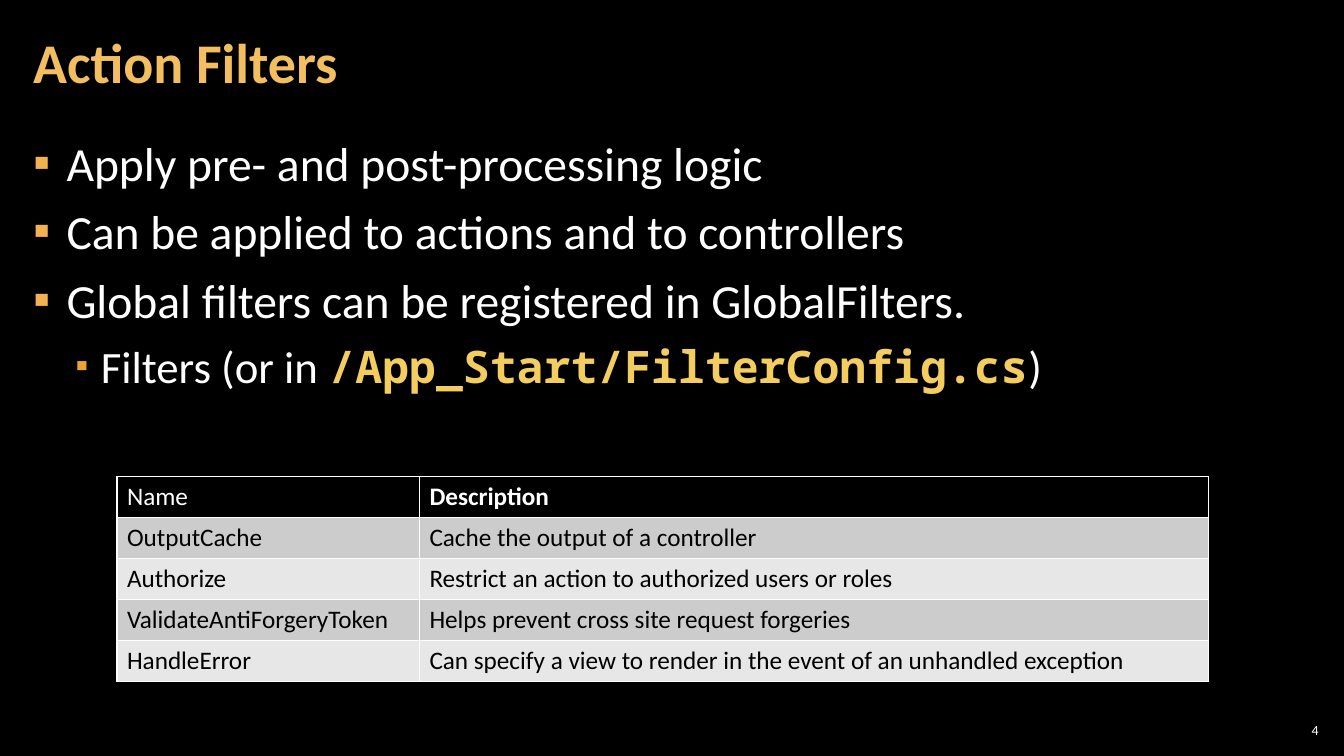
"""Builds the Action Filters slide: title, bullet list, filter table and slide number."""
from lxml import etree
from pptx import Presentation
from pptx.dml.color import RGBColor
from pptx.enum.text import MSO_ANCHOR, PP_ALIGN
from pptx.oxml.ns import qn
from pptx.util import Inches, Pt

WHITE, BLACK = "FFFFFF", "000000"


def rgb(color):
    """Turn a hex string into a colour."""
    return RGBColor.from_string(color)


def add_run(p, text, size, color, bold=False, font="Calibri"):
    """Append one styled run to a paragraph."""
    r = p.add_run()
    r.text = text
    r.font.name = font
    r.font.size = Pt(size)
    r.font.bold = bold
    r.font.color.rgb = rgb(color)


prs = Presentation()
prs.slide_width, prs.slide_height = Inches(13.33), Inches(7.5)
s = prs.slides.add_slide(prs.slide_layouts[6])
s.background.fill.solid()
s.background.fill.fore_color.rgb = rgb(BLACK)

frames = []
for left, top, width, height, inset, anchor in [
    (12.65, 7.14, 0.47, 0.21, 0.04, MSO_ANCHOR.MIDDLE),
    (0.21, 1.26, 12.91, 6.09, 0.12, MSO_ANCHOR.TOP),
    (0.21, 0.04, 10.47, 1.21, 0.12, MSO_ANCHOR.MIDDLE),
]:
    tf = s.shapes.add_textbox(Inches(left), Inches(top), Inches(width), Inches(height)).text_frame
    tf.word_wrap = True
    tf.vertical_anchor = anchor
    tf.margin_left = tf.margin_right = Inches(inset)
    tf.margin_top = tf.margin_bottom = Inches(0.04)
    frames.append(tf)
number, body, title = frames

p = number.paragraphs[0]
p.alignment = PP_ALIGN.RIGHT
add_run(p, "4", 10, WHITE)

p = title.paragraphs[0]
p.line_spacing = 0.9
add_run(p, "Action Filters", 40, "F3BE60", bold=True)

bullets = [
    (0, "Apply pre- and post-processing logic"),
    (0, "Can be applied to actions and to controllers"),
    (0, "Global filters can be registered in GlobalFilters."),
    (1, "Filters (or in "),
]
levels = [(34, 0.33, 0.33, "F2B254", 100), (32, 0.67, 0.25, "F0A22E", 80)]
for i, (level, text) in enumerate(bullets):
    size, margin, hanging, color, percent = levels[level]
    p = body.add_paragraph() if i else body.paragraphs[0]
    p.level = level
    p.line_spacing = 1.05
    p.space_before = p.space_after = Pt(3)
    pPr = p._p.get_or_add_pPr()
    pPr.set("marL", str(Inches(margin)))
    pPr.set("indent", str(-Inches(hanging)))
    bullet_color = etree.SubElement(pPr, qn("a:buClr"))
    etree.SubElement(bullet_color, qn("a:srgbClr"), val=color)
    etree.SubElement(pPr, qn("a:buSzPct"), val=str(percent * 1000))
    etree.SubElement(pPr, qn("a:buFont"), typeface="Calibri")
    etree.SubElement(pPr, qn("a:buChar"), char="▪")
    add_run(p, text, size, WHITE)
add_run(p, "/App_Start/FilterConfig.cs", 32, "F3CD60", bold=True, font="Noto Sans Mono")
add_run(p, ")", 32, WHITE)

rows = [
    ("Name", "Description"),
    ("OutputCache", "Cache the output of a controller"),
    ("Authorize", "Restrict an action to authorized users or roles"),
    ("ValidateAntiForgeryToken", "Helps prevent cross site request forgeries"),
    ("HandleError", "Can specify a view to render in the event of an unhandled exception"),
]
table = s.shapes.add_table(
    len(rows), 2, Inches(1.16), Inches(4.73), Inches(10.83), Inches(2.03)
).table
for column, width in zip(table.columns, (3, 7.83)):
    column.width = Inches(width)
for i, texts in enumerate(rows):
    fill = BLACK if i == 0 else "CCCCCC" if i % 2 else "E7E7E7"
    for j, text in enumerate(texts):
        cell = table.cell(i, j)
        tcPr = cell._tc.get_or_add_tcPr()
        for side in ("lnL", "lnR", "lnT", "lnB"):
            ln = etree.SubElement(tcPr, qn(f"a:{side}"), w=str(Pt(1)))
            line_fill = etree.SubElement(ln, qn("a:solidFill"))
            etree.SubElement(line_fill, qn("a:srgbClr"), val=WHITE)
        cell.fill.solid()
        cell.fill.fore_color.rgb = rgb(fill)
        color = BLACK if i else WHITE
        add_run(cell.text_frame.paragraphs[0], text, 18, color, bold=text == "Description")

prs.save("out.pptx")
